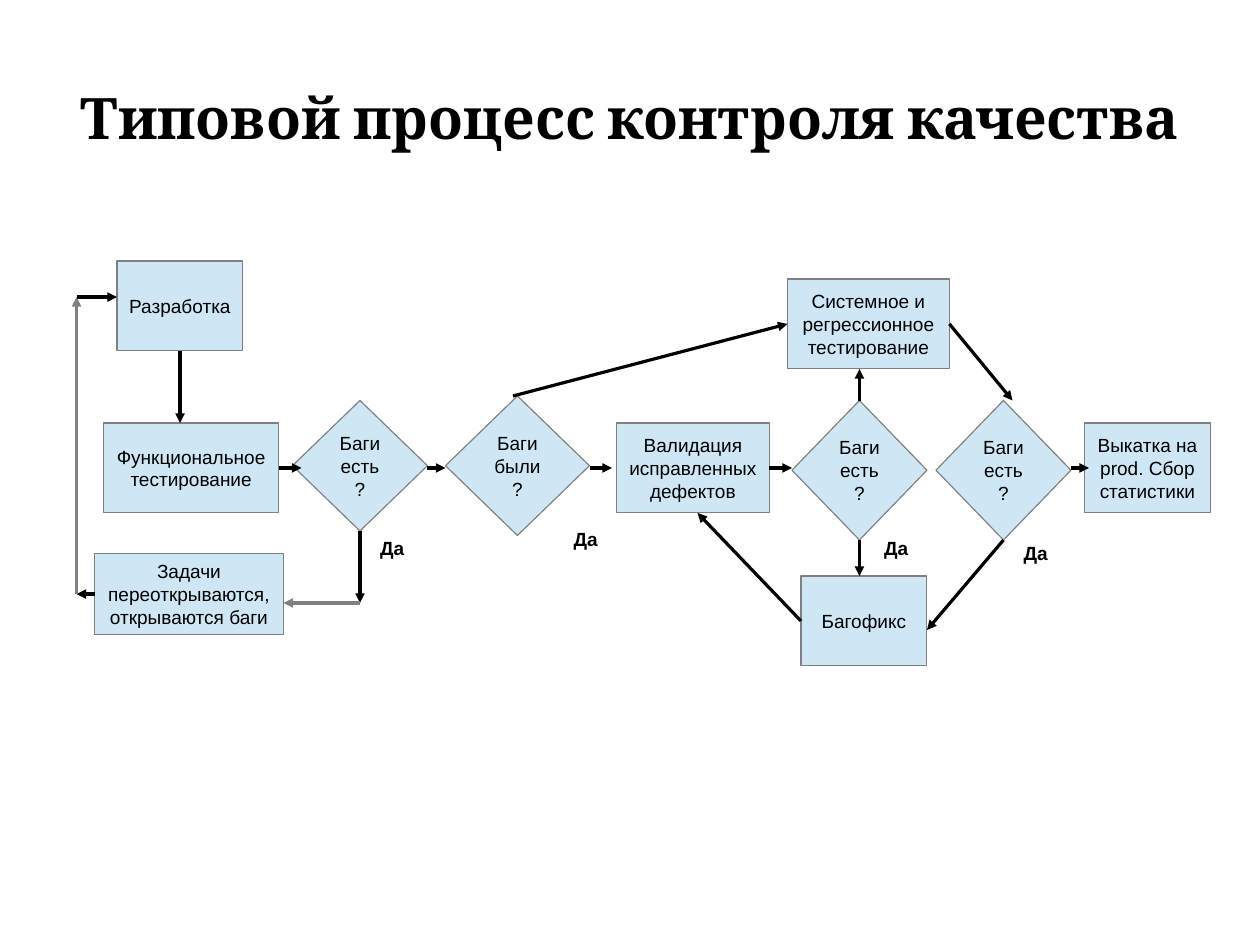
from dataclasses import dataclass

from lxml import etree
from pptx import Presentation
from pptx.dml.color import RGBColor
from pptx.enum.shapes import MSO_CONNECTOR, MSO_SHAPE
from pptx.enum.text import MSO_ANCHOR, MSO_AUTO_SIZE, PP_ALIGN
from pptx.oxml.ns import qn
from pptx.util import Cm, Pt

RECTANGLE = MSO_SHAPE.RECTANGLE
DIAMOND = MSO_SHAPE.DIAMOND
STRAIGHT = MSO_CONNECTOR.STRAIGHT
MIDDLE = MSO_ANCHOR.MIDDLE
NO_AUTOFIT = MSO_AUTO_SIZE.NONE
LEFT = PP_ALIGN.LEFT
CENTER = PP_ALIGN.CENTER


@dataclass(frozen=True)
class Theme:
    text: RGBColor = RGBColor(0x00, 0x00, 0x00)
    fill: RGBColor = RGBColor(0xCF, 0xE7, 0xF5)
    outline: RGBColor = RGBColor(0x80, 0x80, 0x80)
    title_font: str = "Cambria"
    body_font: str = "Arial"
    title_size: Pt = Pt(36)
    body_size: Pt = Pt(12)
    hairline: Pt = Pt(0)


THEME = Theme()

STEPS = [
    ("Разработка", 0.9, 0, 2.8, 2),
    ("Функциональное тестирование", 0.6, 3.6, 3.9, 2),
    ("Задачи переоткрываются, открываются баги", 0.4, 6.5, 4.2, 1.8),
    ("Валидация исправленных дефектов", 12, 3.6, 3.4, 2),
    ("Системное и регрессионное тестирование", 15.8, 0.4, 3.6, 2),
    ("Багофикс", 16.1, 7, 2.8, 2),
    ("Выкатка на prod. Сбор статистики", 22.4, 3.6, 2.8, 2),
]
DECISIONS = [
    ("Баги есть?", 4.8, 3.1, 3, 2.9),
    ("Баги были ?", 8.2, 3, 3.2, 3.1),
    ("Баги есть?", 15.9, 3.1, 3, 3.1),
    ("Баги есть?", 19.1, 3.1, 3, 3.1),
]
MAIN_ROW = 4.6
MAIN_ROW_SPANS = [(4.5, 5), (7.8, 8.2), (11.4, 11.9), (15.4, 15.9), (22.1, 22.5)]
BRANCH_ARROWS = [
    (2.3, 2, 2.3, 3.6),
    (6.3, 6, 6.3, 7.6),
    (0.4, 7.4, 0, 7.4),
    (0, 0.8, 0.9, 0.8),
    (9.7, 3, 15.8, 1.4),
    (17.4, 3.1, 17.4, 2.4),
    (17.4, 6.2, 17.4, 7),
    (16.1, 8, 13.8, 5.6),
    (19.4, 1.4, 20.8, 3.1),
    (20.6, 6.2, 18.9, 8.2),
]
RETURN_ARROWS = [(6.3, 7.6, 4.6, 7.6), (0, 7.4, 0, 0.8)]
YES_LABELS = [(6.5, 6), (10.8, 5.8), (17.7, 6), (20.8, 6.1)]


def write_text(shape, text, alignment=CENTER, bold=False):
    frame = shape.text_frame
    frame.word_wrap = True
    frame.text = text
    paragraph = frame.paragraphs[0]
    paragraph.alignment = alignment
    paragraph.font.name = THEME.body_font
    paragraph.font.size = THEME.body_size
    paragraph.font.bold = bold
    paragraph.font.color.rgb = THEME.text
    return paragraph


def add_node(slide, kind, text, left, top, width, height):
    shape = slide.shapes.add_shape(kind, Cm(left), Cm(top), Cm(width), Cm(height))
    shape.shadow.inherit = False
    shape.fill.solid()
    shape.fill.fore_color.rgb = THEME.fill
    shape.line.color.rgb = THEME.outline
    shape.line.width = THEME.hairline
    shape.text_frame.vertical_anchor = MIDDLE
    write_text(shape, text)


def add_arrow(slide, color, start_x, start_y, end_x, end_y):
    arrow = slide.shapes.add_connector(
        STRAIGHT, Cm(start_x), Cm(start_y), Cm(end_x), Cm(end_y)
    )
    arrow.line.color.rgb = color
    arrow.line.width = THEME.hairline
    etree.SubElement(arrow.line._get_or_add_ln(), qn("a:tailEnd"), type="triangle")
    etree.SubElement(arrow._element.spPr, qn("a:effectLst"))


def place_title(slide, left, top, width, height):
    title = slide.shapes.title
    title.left, title.top = Cm(left), Cm(top)
    title.width, title.height = Cm(width), Cm(height)
    frame = title.text_frame
    frame.auto_size = NO_AUTOFIT
    frame.vertical_anchor = MIDDLE
    frame.margin_left = frame.margin_right = 0
    frame.margin_top = frame.margin_bottom = 0
    paragraph = write_text(title, "Типовой процесс контроля качества", bold=True)
    paragraph.font.name = THEME.title_font
    paragraph.font.size = THEME.title_size


def place_flowchart(slide, left, top):
    for kind, nodes in ((RECTANGLE, STEPS), (DIAMOND, DECISIONS)):
        for text, x, y, width, height in nodes:
            add_node(slide, kind, text, left + x, top + y, width, height)

    row_arrows = [(start, MAIN_ROW, end, MAIN_ROW) for start, end in MAIN_ROW_SPANS]
    for color, arrows in (
        (THEME.text, row_arrows + BRANCH_ARROWS),
        (THEME.outline, RETURN_ARROWS),
    ):
        for start_x, start_y, end_x, end_y in arrows:
            add_arrow(
                slide, color, left + start_x, top + start_y, left + end_x, top + end_y
            )

    for x, y in YES_LABELS:
        label = slide.shapes.add_textbox(Cm(left + x), Cm(top + y), Cm(1.4), Cm(0.74))
        write_text(label, "Да", LEFT, bold=True)


def main():
    presentation = Presentation()
    presentation.slide_width = Cm(28)
    presentation.slide_height = Cm(21)
    slide = presentation.slides.add_slide(presentation.slide_layouts[5])
    place_title(slide, 1.4, 0.84, 25.2, 3.5)
    place_flowchart(slide, 1.7, 5.8)
    presentation.save("out.pptx")


if __name__ == "__main__":
    main()
